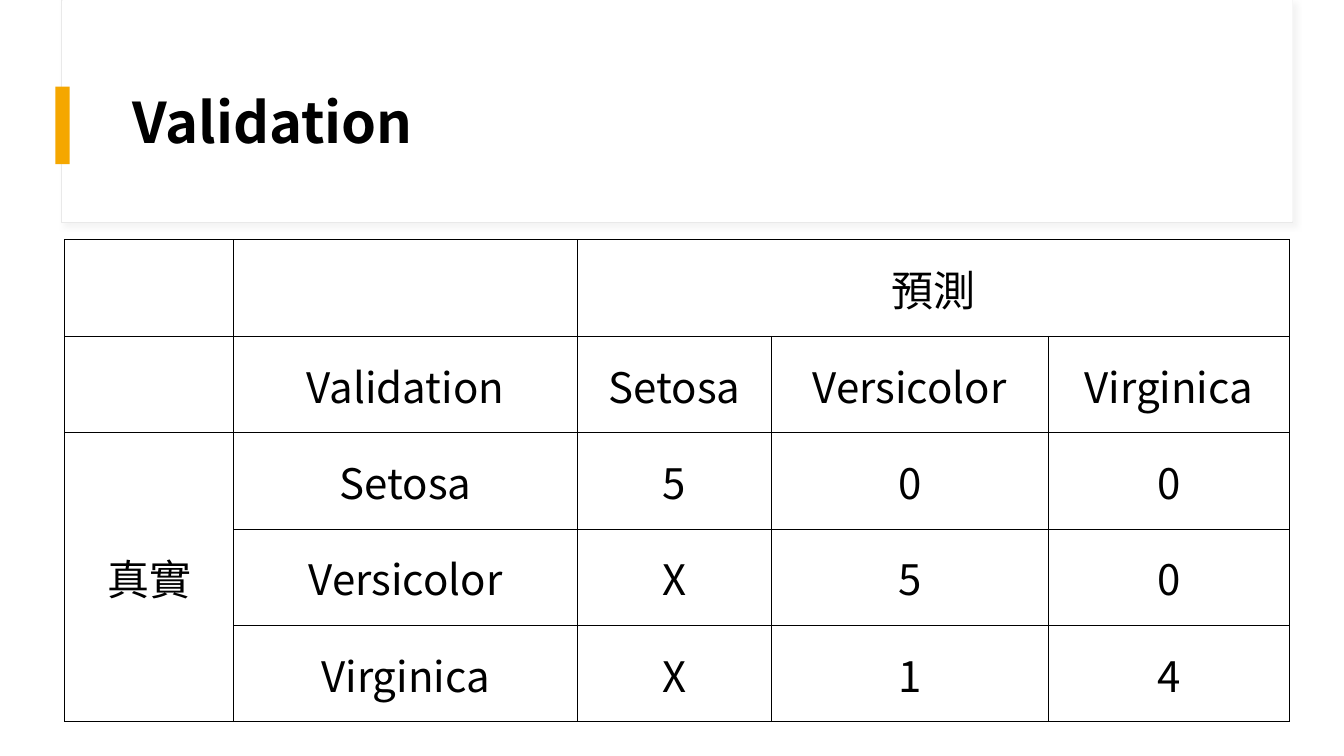
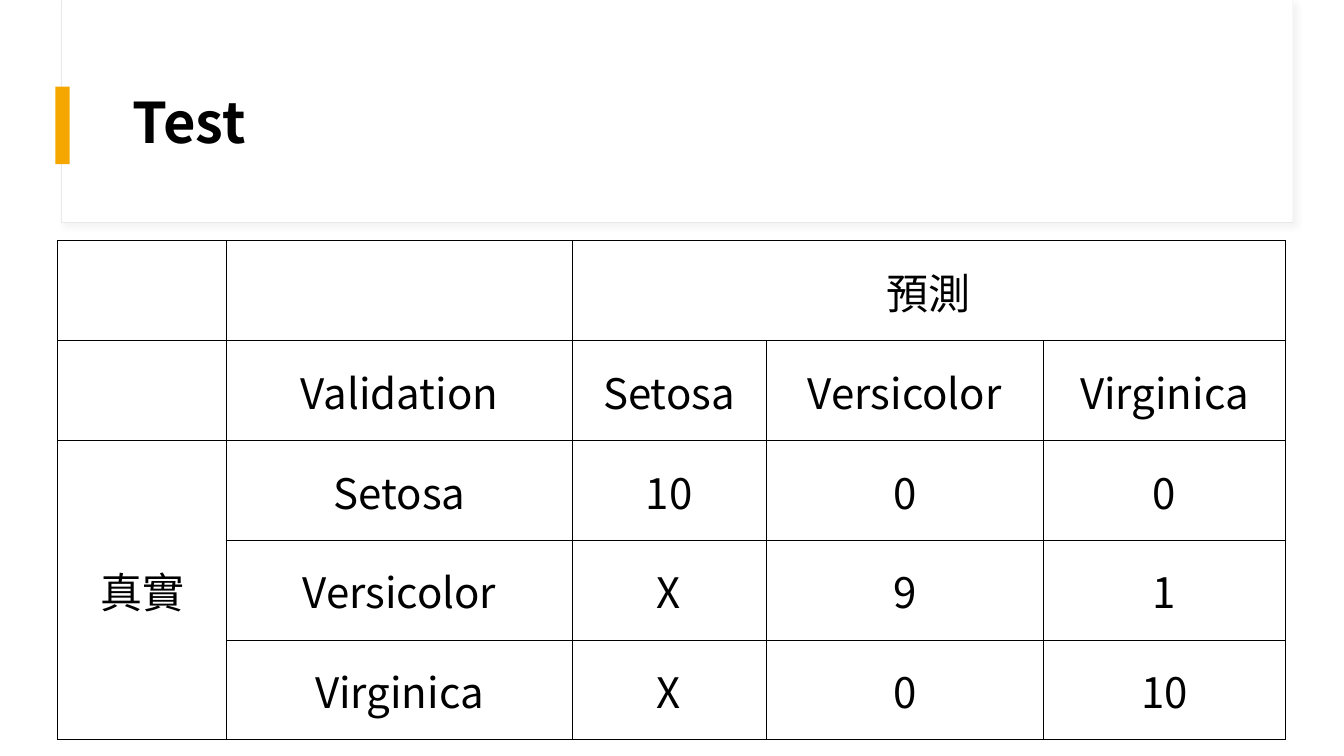
from dataclasses import dataclass

from lxml import etree
from pptx import Presentation
from pptx.dml.color import RGBColor
from pptx.enum.shapes import MSO_SHAPE
from pptx.enum.text import MSO_ANCHOR, PP_ALIGN
from pptx.oxml import parse_xml
from pptx.oxml.ns import nsdecls, qn
from pptx.util import Inches, Pt

RECT = MSO_SHAPE.RECTANGLE
MIDDLE = MSO_ANCHOR.MIDDLE
CENTER = PP_ALIGN.CENTER
WIDE, HIGH = 13.33, 7.5


@dataclass(frozen=True)
class Theme:
    font: str = "Noto Sans CJK SC"
    ink: str = "000000"
    paper: str = "FFFFFF"
    edge: str = "E9E9E9"
    shade: str = "D9D9D9"
    accent: str = "F5A700"
    title: int = 40
    body: int = 30
    rule: float = 0.75


THEME = Theme()

# Column widths as shares of the table
COLS = (0.138, 0.281, 0.158, 0.226, 0.197)
KINDS = ("Setosa", "Versicolor", "Virginica")


def style(para, size, bold=False):
    for run in para.runs:
        font = run.font
        font.name, font.size, font.bold = THEME.font, Pt(size), bold
        font.color.rgb = RGBColor.from_string(THEME.ink)
        east = etree.SubElement(run._r.get_or_add_rPr(), qn("a:ea"))
        east.set("typeface", THEME.font)


def add_box(slide, left, top, width, height, fill, line=None):
    box = slide.shapes.add_shape(
        RECT, Inches(left), Inches(top), Inches(width), Inches(height))
    box.shadow.inherit = False
    box.fill.solid()
    box.fill.fore_color.rgb = RGBColor.from_string(fill)
    if line:
        box.line.color.rgb = RGBColor.from_string(line)
        box.line.width = Pt(THEME.rule)
    else:
        box.line.fill.background()
    return box


def add_shade(box):
    effects = box._element.spPr.find(qn("a:effectLst"))
    effects.append(parse_xml(
        f'<a:outerShdw {nsdecls("a")} blurRad="{Pt(4)}" dist="{Pt(3)}" '
        f'dir="2700000" algn="tl" rotWithShape="0">'
        f'<a:srgbClr val="{THEME.shade}"><a:alpha val="30000"/></a:srgbClr>'
        f'</a:outerShdw>'))


def add_head(slide, title):
    # Framed band with its accent mark
    add_shade(add_box(slide, 0.61, 0, 12.21, 2.21, THEME.paper, THEME.edge))
    add_box(slide, 0.62, 0, 12.2, 2.2, THEME.paper)
    add_box(slide, 0.55, 0.86, 0.14, 0.77, THEME.accent)

    # Title text
    box = slide.shapes.add_textbox(
        Inches(1.22), Inches(0.6), Inches(11.12), Inches(1.29))
    frame = box.text_frame
    frame.word_wrap = True
    frame.vertical_anchor = MIDDLE
    frame.text = title
    para = frame.paragraphs[0]
    para.line_spacing = 0.9
    style(para, THEME.title, bold=True)


def set_cell(cell, text):
    cell.margin_left = cell.margin_right = cell.margin_top = Inches(0.01)
    cell.margin_bottom = 0
    cell.vertical_anchor = MIDDLE
    cell.text_frame.text = text
    para = cell.text_frame.paragraphs[0]
    para.alignment = CENTER
    style(para, THEME.body)

    # Borders come before the fill in the cell's properties
    props = cell._tc.get_or_add_tcPr()
    for side in ("lnL", "lnR", "lnT", "lnB"):
        props.append(parse_xml(
            f'<a:{side} {nsdecls("a")} w="{Pt(THEME.rule)}"><a:solidFill>'
            f'<a:srgbClr val="{THEME.ink}"/></a:solidFill></a:{side}>'))
    cell.fill.background()


def add_matrix(slide, place, counts):
    left, top, width, height = place
    rows = [("", "", "預測", "", ""), ("", "Validation", *KINDS)]
    for kind, label, line in zip(KINDS, ("真實", "", ""), counts):
        rows.append((label, kind, *line))

    table = slide.shapes.add_table(
        len(rows), len(COLS), Inches(left), Inches(top),
        Inches(width), Inches(height)).table
    table.first_row = table.horz_banding = False
    for col, share in zip(table.columns, COLS):
        col.width = Inches(width * share)
    for row, texts in zip(table.rows, rows):
        row.height = Inches(height / len(rows))
        for cell, text in zip(row.cells, texts):
            set_cell(cell, text)

    # Labels that span the three kinds
    table.cell(0, 2).merge(table.cell(0, 4))
    table.cell(2, 0).merge(table.cell(4, 0))


def main():
    deck = Presentation()
    deck.slide_width, deck.slide_height = Inches(WIDE), Inches(HIGH)
    blank = deck.slide_layouts[6]
    pages = (
        ("Validation", (0.64, 2.38, 12.15, 4.78),
         ("500", "X50", "X14")),
        ("Test", (0.57, 2.39, 12.18, 4.95),
         (("10", "0", "0"), ("X", "9", "1"), ("X", "0", "10"))),
    )
    for title, place, counts in pages:
        slide = deck.slides.add_slide(blank)
        add_head(slide, title)
        add_matrix(slide, place, counts)
    deck.save("out.pptx")


if __name__ == "__main__":
    main()
